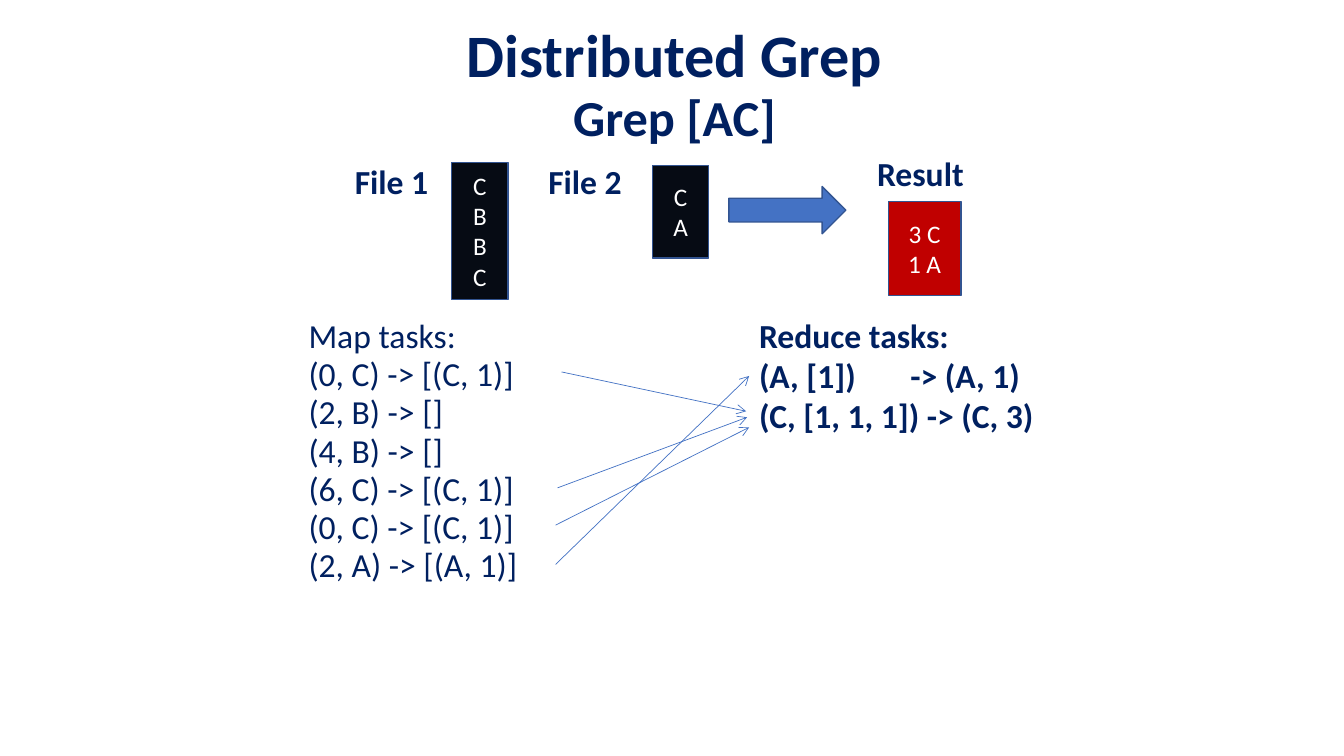
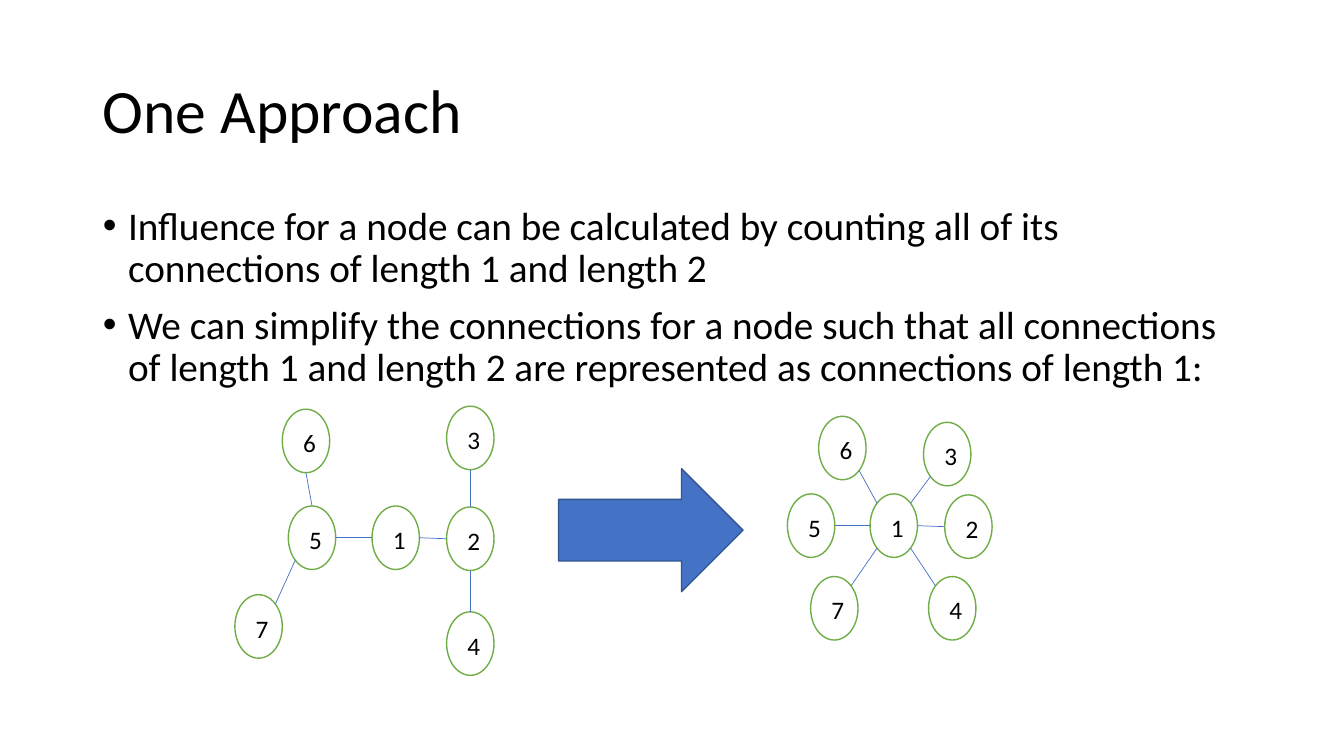
from dataclasses import dataclass

from lxml.etree import SubElement
from pptx import Presentation
from pptx.dml.color import RGBColor
from pptx.enum.shapes import MSO_CONNECTOR as Connector, MSO_SHAPE as Shape
from pptx.enum.text import MSO_ANCHOR as Anchor, MSO_AUTO_SIZE as AutoSize, PP_ALIGN as Align
from pptx.oxml.ns import qn
from pptx.util import Pt

PX = 9144  # 100 px to the inch


@dataclass(frozen=True)
class Theme:
    font: str = "Calibri"
    navy: str = "002060"
    black: str = "000000"
    white: str = "FFFFFF"
    ink: str = "060B14"
    red: str = "C00000"
    blue: str = "4472C4"
    outline: str = "325491"
    green: str = "70AD47"
    heading: int = 43
    subheading: int = 36
    title: int = 44
    bullet: int = 28
    label: int = 24
    small: int = 18
    border: float = 1
    link: float = 0.5


T = Theme()


def set_all(target, values):
    for name, value in values.items():
        setattr(target, name, value)


class Deck:
    """Holds the style and the current slide."""

    def __init__(self):
        self.prs = Presentation()
        set_all(self.prs, {"slide_width": 1333 * PX, "slide_height": 750 * PX})
        self.slide = None

    def new_slide(self):
        self.slide = self.prs.slides.add_slide(self.prs.slide_layouts[1])

    # Text
    def fill_text(self, s, lines, sizes, color, bold=False, insets=(10, 5, 10, 5),
                  anchor=Anchor.TOP, **para):
        """Set one paragraph a line; the last size serves all further lines."""
        tf = s.text_frame
        sides = ("margin_left", "margin_top", "margin_right", "margin_bottom")
        set_all(tf, {"word_wrap": True, "auto_size": AutoSize.NONE, "vertical_anchor": anchor})
        set_all(tf, {side: px * PX for side, px in zip(sides, insets)})
        para = {"alignment": Align.LEFT, "space_before": Pt(0), "line_spacing": 1.0} | para
        for i, line in enumerate(lines):
            p = tf.paragraphs[0] if i == 0 else tf.add_paragraph()
            set_all(p, para)
            r = p.add_run()
            r.text = line
            set_all(r.font, {"name": T.font, "size": Pt(sizes[min(i, len(sizes) - 1)]),
                             "bold": bold})
            r.font.color.rgb = RGBColor.from_string(color)
        return tf

    def place(self, s, box):
        set_all(s, dict(zip(("left", "top", "width", "height"), (v * PX for v in box))))
        return s

    def title(self, box, lines, sizes, color, **style):
        self.fill_text(self.place(self.slide.shapes.title, box), lines, sizes, color, **style)

    def body(self, box, lines, size, color, hanging=0, **style):
        s = self.place(self.slide.placeholders[1], box)
        for p in self.fill_text(s, lines, [size], color, **style).paragraphs:
            pPr = p._p.get_or_add_pPr()
            pPr.set("marL", str(hanging * PX))
            pPr.set("indent", str(-hanging * PX))
            if not hanging:
                SubElement(pPr, qn("a:buNone"))

    def label(self, box, lines, tab=None):
        s = self.slide.shapes.add_textbox(*(v * PX for v in box))
        tf = self.fill_text(s, lines, [T.label], T.navy, bold=True)
        for p in tf.paragraphs if tab else ():
            tabs = SubElement(p._p.get_or_add_pPr(), qn("a:tabLst"))
            SubElement(tabs, qn("a:tab"), pos=str(tab * PX), algn="l")

    # Shapes
    def shape(self, kind, box, fill, line=T.outline):
        s = self.slide.shapes.add_shape(kind, *(v * PX for v in box))
        s.shadow.inherit = False
        s.fill.solid()
        s.fill.fore_color.rgb = RGBColor.from_string(fill)
        s.line.color.rgb = RGBColor.from_string(line)
        s.line.width = Pt(T.border)
        return s

    def file_box(self, box, lines, fill):
        self.fill_text(self.shape(Shape.RECTANGLE, box, fill), lines, [T.small], T.white,
                       anchor=Anchor.MIDDLE, alignment=Align.CENTER)

    def block_arrow(self, box):
        self.shape(Shape.RIGHT_ARROW, box, T.blue)

    def link(self, start, end, arrow=False):
        s = self.slide.shapes.add_connector(
            Connector.STRAIGHT, *(round(v * PX) for v in (*start, *end)))
        s.line.color.rgb = RGBColor.from_string(T.blue)
        s.line.width = Pt(T.link)
        spPr = s._element.spPr
        if arrow:
            SubElement(spPr.find(qn("a:ln")), qn("a:tailEnd"), type="arrow")
        SubElement(spPr, qn("a:effectLst"))

    def graph(self, nodes, edges):
        """Draw numbered ovals, and links between compass points on their rims."""
        w, h = 47, 63

        def rim(name, compass):
            x, y = nodes[name]
            dx = ("e" in compass) - ("w" in compass)
            dy = ("s" in compass) - ("n" in compass)
            reach = 0.71 if dx and dy else 1
            return x + w / 2 * (1 + dx * reach), y + h / 2 * (1 + dy * reach)

        for name, (x, y) in nodes.items():
            s = self.shape(Shape.OVAL, (x, y, w, h), T.white, T.green)
            self.fill_text(s, [name], [T.small], T.black, insets=(7, 3, 0, 0),
                           anchor=Anchor.MIDDLE, alignment=Align.CENTER)
        for a, a_side, b, b_side in edges:
            self.link(rim(a, a_side), rim(b, b_side))


def grep_slide(deck):
    deck.new_slide()
    flush = {"insets": (0, 0, 0, 0), "line_spacing": 0.95}
    deck.title((253, 22, 832, 68), ["Distributed Grep", "Grep [AC]"],
               [T.heading, T.subheading], T.navy, bold=True, alignment=Align.CENTER, **flush)

    # Input files and result
    deck.file_box((448, 161, 56, 136), "CBBC", T.ink)
    deck.file_box((647, 164, 56, 92), "CA", T.ink)
    deck.file_box((881, 200, 72, 93), ["3 C", "1 A"], T.red)
    deck.block_arrow((723, 185, 116, 47))
    for x, y, text in ((342, 155, "File 1"), (534, 155, "File 2"), (860, 147, "Result")):
        deck.label((x, y, 122, 50), [text])

    # Map and reduce tasks
    deck.body((306, 315, 274, 302),
              ["Map tasks:", "(0, C) -> [(C, 1)]", "(2, B) -> []", "(4, B) -> []",
               "(6, C) -> [(C, 1)]", "(0, C) -> [(C, 1)]", "(2, A) -> [(A, 1)]"],
              T.label, T.navy, **flush)
    deck.label((743, 307, 363, 131),
               ["Reduce tasks:", "(A, [1])\t-> (A, 1)", "(C, [1, 1, 1]) -> (C, 3)"], tab=150)
    for start, end in (((557, 369), (740, 408)), ((553, 484), (741, 414)),
                       ((551, 521), (743, 424)), ((551, 560), (743, 373))):
        deck.link(start, end, arrow=True)


def approach_slide(deck):
    deck.new_slide()
    deck.title((92, 40, 1150, 145), ["One Approach"], [T.title], T.black,
               anchor=Anchor.MIDDLE, line_spacing=0.9)
    deck.body((92, 200, 1150, 476),
              ["Influence for a node can be calculated by counting all of its connections "
               "of length 1 and length 2",
               "We can simplify the connections for a node such that all connections of "
               "length 1 and length 2 are represented as connections of length 1:"],
              T.bullet, T.black, hanging=25, line_spacing=0.9, space_before=Pt(10))

    # Network before and after simplifying
    deck.graph({"1": (369, 502), "2": (443, 503), "3": (443, 403), "4": (443, 607),
                "5": (286, 502), "6": (280, 406), "7": (233, 590)},
               [("5", "e", "1", "w"), ("6", "s", "5", "n"), ("7", "ne", "5", "sw"),
                ("2", "n", "3", "s"), ("2", "s", "4", "n"), ("1", "e", "2", "w")])
    deck.graph({"1": (863, 490), "2": (937, 491), "3": (916, 419), "4": (921, 572),
                "5": (781, 490), "6": (812, 413), "7": (804, 572)},
               [("1", "w", "5", "e"), ("1", "nw", "6", "se"), ("1", "sw", "7", "ne"),
                ("1", "ne", "3", "sw"), ("1", "se", "4", "nw"), ("1", "e", "2", "w")])
    deck.block_arrow((554, 465, 183, 122))


def main():
    deck = Deck()
    grep_slide(deck)
    approach_slide(deck)
    deck.prs.save("out.pptx")


if __name__ == "__main__":
    main()
